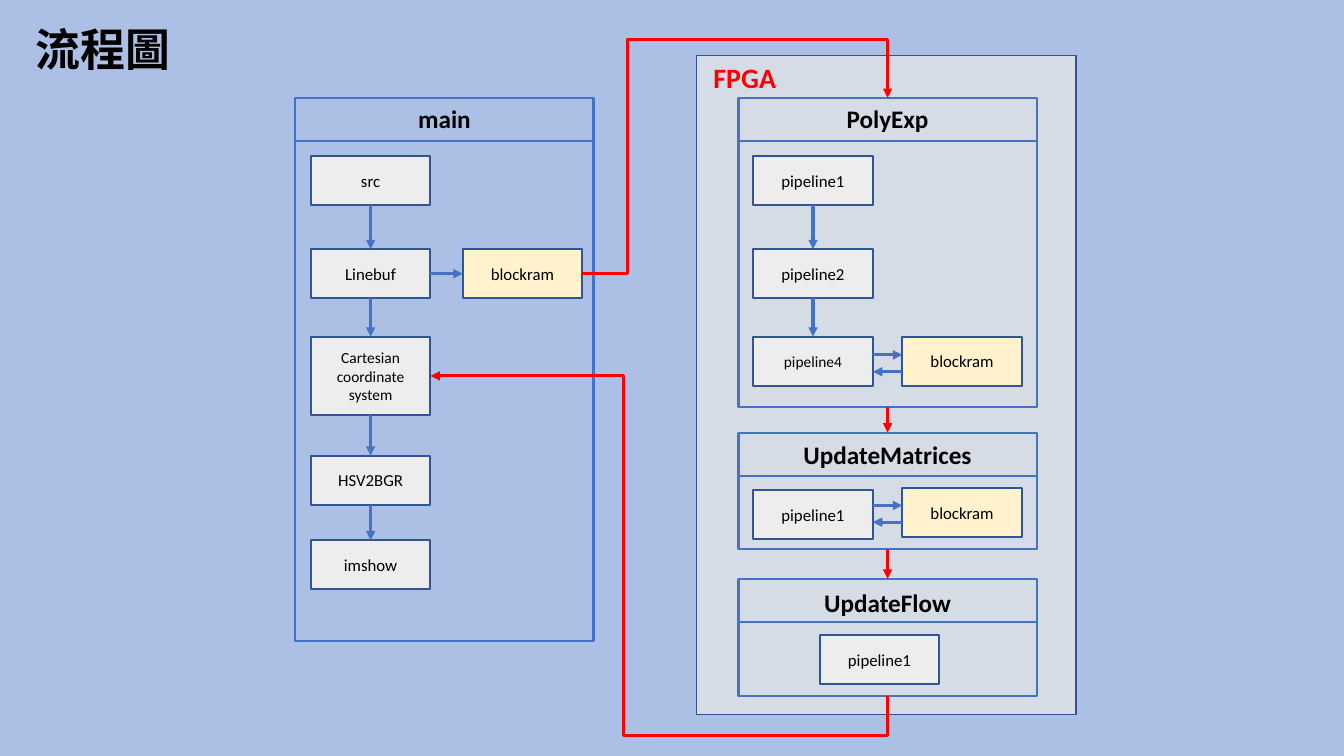
from pptx import Presentation
from pptx.dml.color import RGBColor
from pptx.enum import shapes, text
from pptx.oxml.ns import qn
from pptx.util import Pt
from lxml import etree

COLORS = {
    "background": "ABC0E4", "fpga": "D6DCE5", "fpga edge": "325491",
    "step": "EDEDED", "memory": "FFF2CC", "box edge": "2F5597",
    "flow": "4472C4", "data": "FF0000", "text": "000000",
}
FONT = "Calibri"
TITLE = ("流程圖", 18.5, 11.5, 111.5, 46)
FPGA = ("FPGA", 497.5, 39.5, 271, 471)

# name: left, top, height, label top, label width
MODULES = {
    "main": (211, 70, 388, 70.5, 53),
    "PolyExp": (527.5, 70, 221, 70, 73),
    "UpdateMatrices": (527.5, 309, 83.5, 310.5, 135),
    "UpdateFlow": (527.5, 413.5, 83.5, 416, 106),
}
MODULE_WIDTH, HEADER_HEIGHT, LABEL_HEIGHT = 213, 31, 29

BOX_WIDTH, BOX_HEIGHT = 85.5, 35
MAIN_X, POLY_X, MEMORY_X = 222, 538, 644.5
ROWS = (111.5, 178, 240.5, 325.5, 386)
# key: wording, left, top, height, font size, fill
BOXES = {
    "src": ("src", MAIN_X, ROWS[0], BOX_HEIGHT, 12, "step"),
    "linebuf": ("Linebuf", MAIN_X, ROWS[1], BOX_HEIGHT, 12, "step"),
    "cartesian": ("Cartesian coordinate system", MAIN_X, ROWS[2], 56, 11, "step"),
    "hsv": ("HSV2BGR", MAIN_X, ROWS[3], BOX_HEIGHT, 12, "step"),
    "imshow": ("imshow", MAIN_X, ROWS[4], BOX_HEIGHT, 12, "step"),
    "main ram": ("blockram", 330.5, ROWS[1], BOX_HEIGHT, 12, "memory"),
    "poly 1": ("pipeline1", POLY_X, ROWS[0], BOX_HEIGHT, 12, "step"),
    "poly 2": ("pipeline2", POLY_X, ROWS[1], BOX_HEIGHT, 12, "step"),
    "poly 4": ("pipeline4", POLY_X, ROWS[2], BOX_HEIGHT, 11, "step"),
    "poly ram": ("blockram", MEMORY_X, ROWS[2], BOX_HEIGHT, 12, "memory"),
    "matrices 1": ("pipeline1", POLY_X, 350, BOX_HEIGHT, 12, "step"),
    "matrices ram": ("blockram", MEMORY_X, 348.5, BOX_HEIGHT, 12, "memory"),
    "flow 1": ("pipeline1", 585.5, 453.5, BOX_HEIGHT, 12, "step"),
}
DOWNWARD = [
    ("src", "linebuf", "flow"), ("linebuf", "cartesian", "flow"),
    ("cartesian", "hsv", "flow"), ("hsv", "imshow", "flow"),
    ("poly 1", "poly 2", "flow"), ("poly 2", "poly 4", "flow"),
    ("PolyExp", "UpdateMatrices", "data"), ("UpdateMatrices", "UpdateFlow", "data"),
]
EXCHANGE_TOPS = (253.5, 361)
EXCHANGE_GAP = 12
# from, side, to, side, turning x, turning y, end that carries the arrowhead
ROUTES = [
    ("main ram", 3, "PolyExp", 0, 448, 28, "tailEnd"),
    ("cartesian", 3, "UpdateFlow", 2, 445.5, 525.5, "headEnd"),
]
TOP, LEFT, BOTTOM, RIGHT = range(4)


def color(name):
    return RGBColor.from_string(COLORS[name])


def style_text(frame, size, name="text", bold=False, align=text.PP_ALIGN.CENTER):
    for paragraph in frame.paragraphs:
        paragraph.alignment = align
        for run in paragraph.runs:
            run.font.name, run.font.size, run.font.bold = FONT, Pt(size), bold
            run.font.color.rgb = color(name)


def add_rectangle(slide, left, top, width, height, edge, weight, fill=None):
    rectangle = slide.shapes.add_shape(
        shapes.MSO_SHAPE.RECTANGLE, Pt(left), Pt(top), Pt(width), Pt(height))
    rectangle.shadow.inherit = False
    if fill:
        rectangle.fill.solid()
        rectangle.fill.fore_color.rgb = color(fill)
    else:
        rectangle.fill.background()
    rectangle.line.color.rgb = color(edge)
    rectangle.line.width = Pt(weight)
    return rectangle


def add_label(slide, wording, left, top, width, height, size, name, align):
    label = slide.shapes.add_textbox(Pt(left), Pt(top), Pt(width), Pt(height))
    label.text_frame.text = wording
    label.text_frame.word_wrap = False
    style_text(label.text_frame, size, name, True, align)


def add_line(slide, start, end, name, weight=2.25, arrow="tailEnd",
             kind=shapes.MSO_CONNECTOR.STRAIGHT):
    line = slide.shapes.add_connector(kind, *(Pt(value) for value in start + end))
    line.line.color.rgb = color(name)
    line.line.width = Pt(weight)
    if arrow:
        etree.SubElement(line.line._get_or_add_ln(), qn("a:" + arrow), type="triangle")
    etree.SubElement(line._element.spPr, qn("a:effectLst"))
    return line


def join(line, first, first_side, second, second_side):
    line.begin_connect(first, first_side)
    line.end_connect(second, second_side)


def bend(line, turn_x, turn_y):
    """Route an elbow through a vertical at turn_x and a horizontal at turn_y."""
    ratios = ((Pt(turn_x) - line.begin_x) / (line.end_x - line.begin_x),
              (Pt(turn_y) - line.begin_y) / (line.end_y - line.begin_y))
    geometry = line._element.spPr.find(qn("a:prstGeom"))
    geometry.set("prst", "bentConnector4")
    guides = geometry.find(qn("a:avLst"))
    for number, ratio in enumerate(ratios, 1):
        etree.SubElement(guides, qn("a:gd"), name=f"adj{number}",
                         fmla=f"val {round(ratio * 100000)}")


def main():
    deck = Presentation()
    deck.slide_width, deck.slide_height = Pt(960), Pt(540)
    slide = deck.slides.add_slide(deck.slide_layouts[5])
    slide.background.fill.solid()
    slide.background.fill.fore_color.rgb = color("background")

    wording, *place = TITLE
    title = slide.shapes.title
    title.left, title.top, title.width, title.height = map(Pt, place)
    title.text_frame.text = wording
    title.text_frame.word_wrap = False
    title.text_frame.auto_size = text.MSO_AUTO_SIZE.NONE
    style_text(title.text_frame, 32, bold=True, align=text.PP_ALIGN.LEFT)

    wording, left, top, width, height = FPGA
    add_rectangle(slide, left, top, width, height, "fpga edge", 1, "fpga")
    add_label(slide, wording, left + 5, top, 60, 31.5, 20, "data", text.PP_ALIGN.LEFT)

    nodes = {}
    for name, (left, top, height, label_top, label_width) in MODULES.items():
        nodes[name] = add_rectangle(slide, left, top, MODULE_WIDTH, height, "flow", 1.5)
        header = top + HEADER_HEIGHT
        add_line(slide, (left, header), (left + MODULE_WIDTH, header), "flow", 1.5, None)
        add_label(slide, name, left + (MODULE_WIDTH - label_width) / 2, label_top,
                  label_width, LABEL_HEIGHT, 18, "text", text.PP_ALIGN.CENTER)

    for key, (wording, left, top, height, size, fill) in BOXES.items():
        box = add_rectangle(slide, left, top, BOX_WIDTH, height, "box edge", 1.5, fill)
        box.text_frame.text = wording
        box.text_frame.word_wrap = True
        box.text_frame.vertical_anchor = text.MSO_ANCHOR.MIDDLE
        style_text(box.text_frame, size)
        nodes[key] = box

    for first, second, name in DOWNWARD:
        join(add_line(slide, (0, 0), (0, 0), name), nodes[first], BOTTOM, nodes[second], TOP)
    join(add_line(slide, (0, 0), (0, 0), "flow"),
         nodes["linebuf"], RIGHT, nodes["main ram"], LEFT)

    pipeline_edge = POLY_X + BOX_WIDTH
    for top in EXCHANGE_TOPS:
        add_line(slide, (pipeline_edge, top), (MEMORY_X, top), "flow")
        back = top + EXCHANGE_GAP
        add_line(slide, (MEMORY_X, back), (pipeline_edge, back), "flow")

    for first, first_side, second, second_side, turn_x, turn_y, arrow in ROUTES:
        route = add_line(slide, (0, 0), (0, 0), "data", arrow=arrow,
                         kind=shapes.MSO_CONNECTOR.ELBOW)
        join(route, nodes[first], first_side, nodes[second], second_side)
        bend(route, turn_x, turn_y)

    deck.save("out.pptx")


if __name__ == "__main__":
    main()
